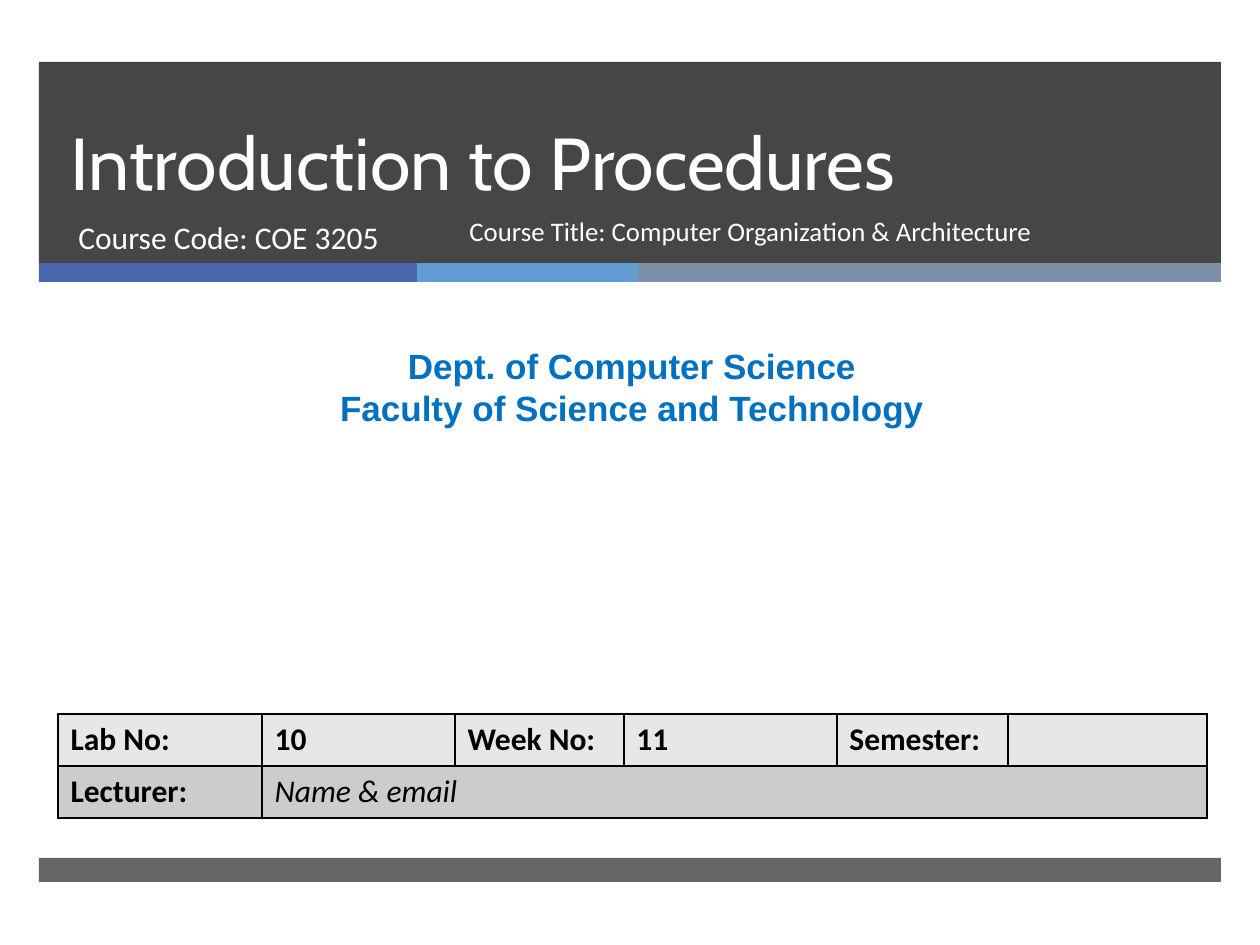
from dataclasses import dataclass

from lxml.etree import SubElement
from pptx import Presentation
from pptx.dml.color import RGBColor
from pptx.enum.shapes import MSO_SHAPE
from pptx.enum.text import MSO_ANCHOR, MSO_AUTO_SIZE, PP_ALIGN
from pptx.oxml import parse_xml
from pptx.oxml.ns import nsdecls, qn
from pptx.util import Emu, Pt

SCALE = 914400 / 126
WHITE, BLACK, DARK, BLUE = "FFFFFF", "000000", "262626", "0070C0"


@dataclass
class Band:
    """A filled rectangle; opacity is in percent."""
    x: int
    y: int
    w: int
    h: int
    color: str
    opacity: int = 100


@dataclass
class Style:
    """Character format of a run."""
    size: float
    font: str
    color: str
    bold: bool = False
    italic: bool = False


@dataclass
class Label:
    """A text box with one paragraph per line."""
    x: int
    y: int
    w: int
    h: int
    lines: list[str]
    style: Style
    align: PP_ALIGN = PP_ALIGN.LEFT
    spacing: float | None = None


def px(n: float) -> Emu:
    """Turn pixels into EMU."""
    return Emu(round(n * SCALE))


def rgb(color: str) -> RGBColor:
    """Turn a hex string into a colour."""
    return RGBColor.from_string(color)


def add_run(p, text: str, style: Style) -> None:
    """Add one formatted run to a paragraph."""
    r = p.add_run()
    r.text = text
    f = r.font
    f.size, f.name = Pt(style.size), style.font
    f.bold, f.italic = style.bold, style.italic
    f.color.rgb = rgb(style.color)


def add_band(s, band: Band) -> None:
    """Draw one band without outline or shadow."""
    sp = s.shapes.add_shape(MSO_SHAPE.RECTANGLE, px(band.x), px(band.y),
                            px(band.w), px(band.h))
    sp.shadow.inherit = False
    sp.line.fill.background()
    sp.fill.solid()
    sp.fill.fore_color.rgb = rgb(band.color)
    if band.opacity < 100:
        clr = sp._element.spPr.find(qn("a:solidFill"))[0]
        SubElement(clr, qn("a:alpha"), val=str(band.opacity * 1000))


def add_title(s, text: str) -> None:
    """Place the title placeholder in front of the bands and fill it."""
    title = s.shapes.title
    s.shapes._spTree.append(title._element)
    title.left, title.top, title.width, title.height = map(px, (58, 62, 1076, 150))
    tf = title.text_frame
    tf.word_wrap, tf.auto_size = True, MSO_AUTO_SIZE.NONE
    tf.vertical_anchor = MSO_ANCHOR.BOTTOM
    p = tf.paragraphs[0]
    p.alignment, p.line_spacing = PP_ALIGN.LEFT, Pt(46)
    add_run(p, text, Style(42, "Cabin", WHITE))


def add_label(s, label: Label) -> None:
    """Add one wrapped text box."""
    tf = s.shapes.add_textbox(px(label.x), px(label.y), px(label.w),
                              px(label.h)).text_frame
    tf.word_wrap = True
    for i, line in enumerate(label.lines):
        p = tf.add_paragraph() if i else tf.paragraphs[0]
        p.alignment, p.line_spacing = label.align, label.spacing
        add_run(p, line, label.style)


def format_cell(cell, fill: str) -> None:
    """Give a cell thin black borders and a fill."""
    tcPr = cell._tc.get_or_add_tcPr()
    for side in ("lnL", "lnR", "lnT", "lnB"):
        tcPr.append(parse_xml(
            f'<a:{side} {nsdecls("a")} w="12700"><a:solidFill>'
            f'<a:srgbClr val="{BLACK}"/></a:solidFill></a:{side}>'))
    cell.fill.solid()
    cell.fill.fore_color.rgb = rgb(fill)


def add_info_table(s) -> None:
    """Add the table of lab details."""
    widths, row_h = [204, 193, 169, 213, 171, 199], 52
    fills = ["E7E7E7", "CCCCCC"]
    rows = [["Lab No:", "10", "Week No:", "11", "Semester:", ""],
            ["Lecturer:", "Name & email", "", "", "", ""]]
    strong = Style(18, "Calibri", BLACK, bold=True)
    slanted = Style(18, "Calibri", BLACK, italic=True)
    table = s.shapes.add_table(len(rows), len(widths), px(58), px(714),
                               px(sum(widths)), px(row_h * len(rows))).table
    for col, w in zip(table.columns, widths):
        col.width = px(w)
    for i, (texts, fill) in enumerate(zip(rows, fills)):
        table.rows[i].height = px(row_h)
        for j, text in enumerate(texts):
            cell = table.cell(i, j)
            format_cell(cell, fill)
            if text:
                style = slanted if (i, j) == (1, 1) else strong
                add_run(cell.text_frame.paragraphs[0], text, style)
    table.cell(1, 1).merge(table.cell(1, len(widths) - 1))


def build() -> None:
    """Build and save the slide."""
    prs = Presentation()
    prs.slide_width, prs.slide_height = px(1260), px(945)
    s = prs.slides.add_slide(prs.slide_layouts[5])
    bands = [Band(39, 62, 1182, 202, DARK, 85)]
    x = 39
    for w, color in ((378, "4A66AC"), (221, "629DD1"), (583, "7F8FA9")):
        bands.append(Band(x, 263, w, 19, color))
        x += w
    bands.append(Band(39, 858, 1182, 24, DARK, 70))
    for band in bands:
        add_band(s, band)
    add_title(s, "Introduction to Procedures")
    add_label(s, Label(66, 212, 384, 67, ["Course Code: COE 3205"],
                       Style(18, "Calibri", WHITE)))
    add_label(s, Label(10, 338, 1244, 97,
                       ["Dept. of Computer Science",
                        "Faculty of Science and Technology"],
                       Style(20, "Arial", BLUE, bold=True), PP_ALIGN.CENTER))
    add_info_table(s)
    add_label(s, Label(457, 212, 591, 67,
                       ["Course Title: Computer Organization & Architecture"],
                       Style(15.3, "Calibri", WHITE), spacing=0.9))
    prs.save("out.pptx")


build()
